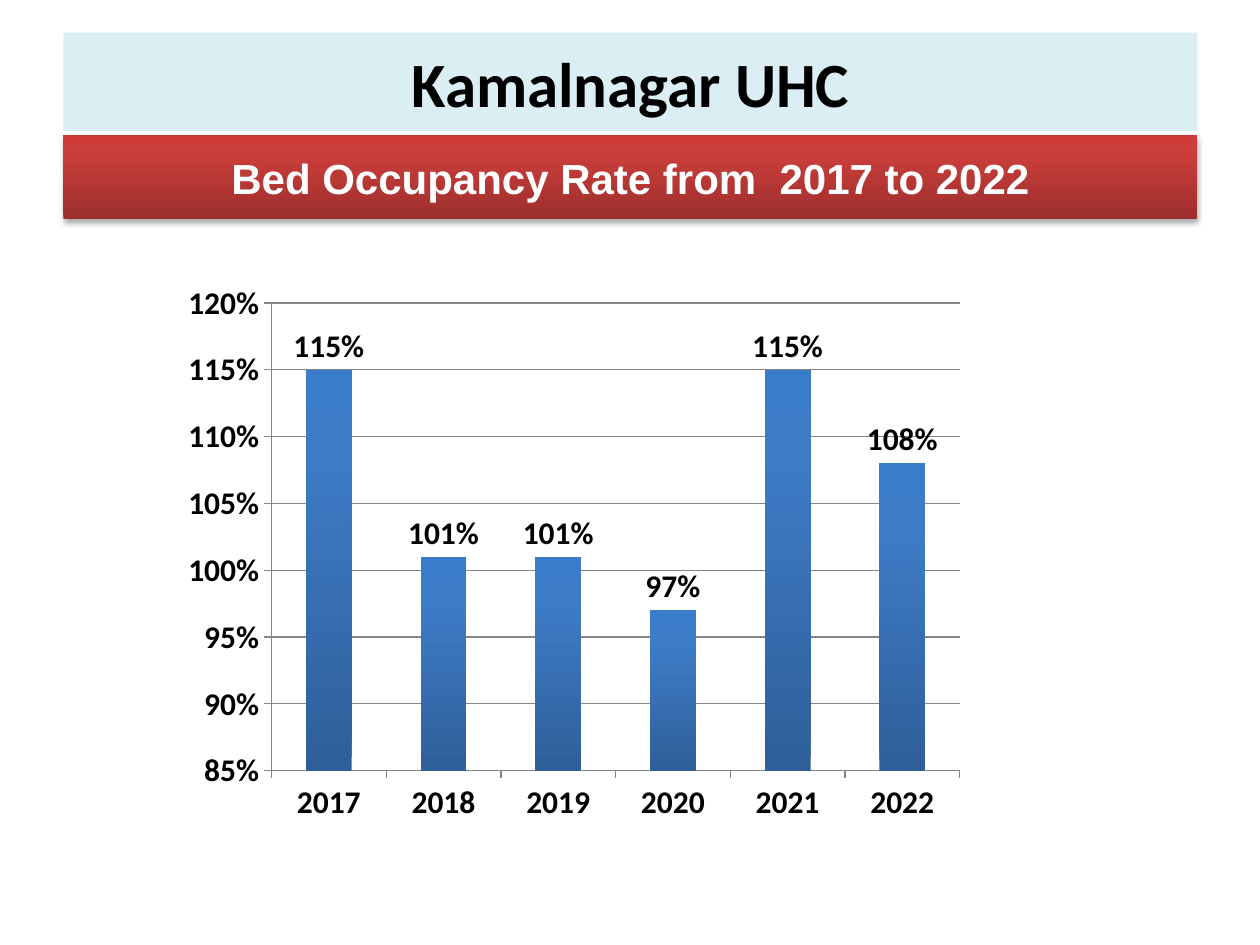
"""Build the bed occupancy slide of Kamalnagar UHC."""
from copy import deepcopy

from lxml import etree
from pptx import Presentation
from pptx.chart.data import CategoryChartData
from pptx.dml.color import RGBColor
from pptx.enum.chart import XL_CHART_TYPE, XL_LABEL_POSITION, XL_TICK_MARK
from pptx.enum.shapes import MSO_SHAPE
from pptx.enum.text import MSO_ANCHOR, MSO_AUTO_SIZE, PP_ALIGN
from pptx.oxml.ns import qn
from pptx.util import Cm, Pt

COLUMNS = XL_CHART_TYPE.COLUMN_CLUSTERED
OUTSIDE_END = XL_LABEL_POSITION.OUTSIDE_END
TICK_OUT = XL_TICK_MARK.OUTSIDE
RECTANGLE = MSO_SHAPE.RECTANGLE
MIDDLE = MSO_ANCHOR.MIDDLE
NO_AUTOFIT = MSO_AUTO_SIZE.NONE
CENTER = PP_ALIGN.CENTER

BANNER_LEFT, BANNER_WIDTH = Cm(1.28), Cm(22.86)
BLACK, WHITE, PALE_BLUE, GRID_GRAY = "000000", "FFFFFF", "DBEEF4", "868686"
RED_STOPS = [(0, "9C2F2D"), (0.8, "CB3E3A"), (1, "CE3B37")]
BLUE_STOPS = [(0, "2F5F99"), (0.8, "3D7CC7"), (1, "3A7CCB")]
OCCUPANCY = {
    "2017": 1.15,
    "2018": 1.01,
    "2019": 1.01,
    "2020": 0.97,
    "2021": 1.15,
    "2022": 1.08,
}


def rgb(value):
    """Turn a hex string into a colour."""
    return RGBColor.from_string(value)


def style_font(font, name, size, color):
    """Make a font bold with the given face, size and colour."""
    font.name = name
    font.size = Pt(size)
    font.bold = True
    font.color.rgb = rgb(color)


def style_thin_line(line):
    """Make a chart line thin and gray."""
    line.color.rgb = rgb(GRID_GRAY)
    line.width = Pt(0.75)


def fill_gradient(fill, element, stops):
    """Fill an element with a gradient that runs from bottom to top."""
    fill.gradient()
    fill.gradient_angle = 90
    stop_list = element.find(".//" + qn("a:gsLst"))
    while len(stop_list) < len(stops):
        stop_list.append(deepcopy(stop_list[-1]))
    for stop, (position, color) in zip(fill.gradient_stops, stops):
        stop.position = position
        stop.color.rgb = rgb(color)


def add_drop_shadow(shape):
    """Give a shape a soft black shadow below it."""
    shape.shadow.inherit = False
    effects = shape._element.spPr.find(qn("a:effectLst"))
    shadow = etree.SubElement(
        effects, qn("a:outerShdw"), blurRad=str(Pt(3.1)), dist=str(Pt(1.8)),
        dir="5400000", rotWithShape="0")
    color = etree.SubElement(shadow, qn("a:srgbClr"), val=BLACK)
    etree.SubElement(color, qn("a:alpha"), val="35000")


def set_banner_text(banner, text, font_name, size, color):
    """Write one centred line in a banner."""
    frame = banner.text_frame
    frame.text = text
    frame.word_wrap = True
    frame.auto_size = NO_AUTOFIT
    frame.vertical_anchor = MIDDLE
    line = frame.paragraphs[0]
    line.alignment = CENTER
    style_font(line.runs[0].font, font_name, size, color)


def set_title(slide, text):
    """Place the title on its pale banner."""
    title = slide.shapes.title
    title.left, title.top = BANNER_LEFT, Cm(0.66)
    title.width, title.height = BANNER_WIDTH, Cm(1.98)
    title.fill.solid()
    title.fill.fore_color.rgb = rgb(PALE_BLUE)
    set_banner_text(title, text, "Calibri", 36, BLACK)


def add_subtitle(slide, text):
    """Add the red banner under the title."""
    banner = slide.shapes.add_shape(
        RECTANGLE, BANNER_LEFT, Cm(2.73), BANNER_WIDTH, Cm(1.69))
    fill_gradient(banner.fill, banner._element, RED_STOPS)
    banner.line.fill.background()
    add_drop_shadow(banner)
    set_banner_text(banner, text, "Arial", 24, WHITE)


def style_axis(axis):
    """Give an axis a thin gray line and outside ticks."""
    axis.major_tick_mark = TICK_OUT
    style_thin_line(axis.format.line)


def show_percent(numbered):
    """Show tick or data labels as whole percents."""
    numbered.number_format = "0%"
    numbered.number_format_is_linked = False


def add_occupancy_chart(slide, occupancy):
    """Add the column chart of yearly occupancy rates."""
    chart_data = CategoryChartData(number_format="0%")
    chart_data.categories = list(occupancy)
    chart_data.add_series("Series 1", list(occupancy.values()))
    chart = slide.shapes.add_chart(
        COLUMNS, Cm(3.47), Cm(5.5), Cm(16.2), Cm(11.28), chart_data).chart
    chart.has_title = False
    chart.has_legend = False
    style_font(chart.font, "Calibri", 18, BLACK)

    style_axis(chart.category_axis)
    rates = chart.value_axis
    style_axis(rates)
    rates.minimum_scale, rates.maximum_scale = 0.85, 1.2
    rates.major_unit = 0.05
    show_percent(rates.tick_labels)
    style_thin_line(rates.major_gridlines.format.line)

    plot = chart.plots[0]
    plot.gap_width = 150
    plot.vary_by_categories = False
    columns = plot.series[0]
    fill_gradient(columns.format.fill, columns._element, BLUE_STOPS)
    columns.format.line.fill.background()
    labels = columns.data_labels
    labels.show_value = True
    labels.position = OUTSIDE_END
    show_percent(labels)
    style_font(labels.font, "Calibri", 18, BLACK)


def main():
    """Build and save the slide."""
    presentation = Presentation()
    presentation.slide_width, presentation.slide_height = Cm(25.4), Cm(19.05)
    slide = presentation.slides.add_slide(presentation.slide_layouts[5])
    add_subtitle(slide, "Bed Occupancy Rate from  2017 to 2022")
    set_title(slide, "Kamalnagar UHC")
    add_occupancy_chart(slide, OCCUPANCY)
    presentation.save("out.pptx")


if __name__ == "__main__":
    main()
